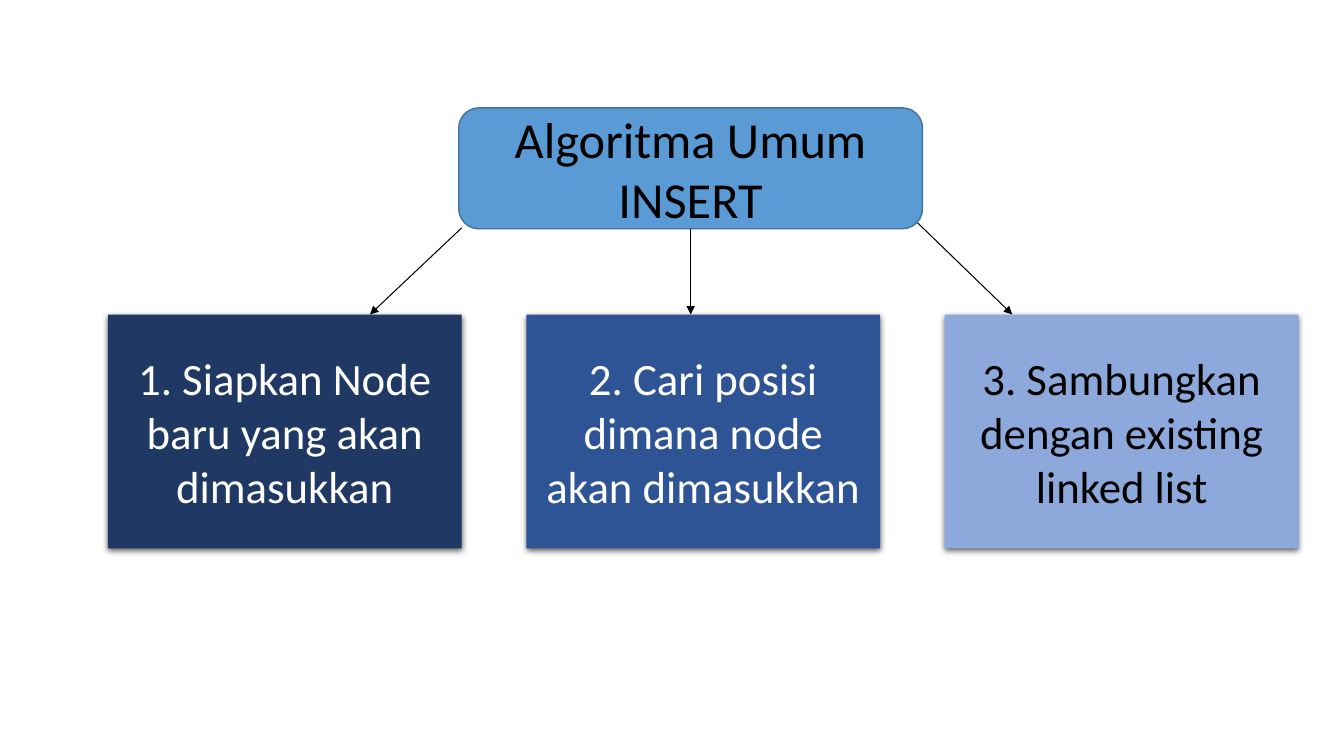
from lxml.etree import SubElement
from pptx import Presentation
from pptx.dml.color import RGBColor
from pptx.enum.shapes import MSO_CONNECTOR, MSO_SHAPE
from pptx.enum.text import MSO_ANCHOR, PP_ALIGN
from pptx.oxml.ns import qn
from pptx.util import Pt

PX = 9144
COLORS = {
    "navy": "1F3864", "blue": "2F5496", "pale": "8DA9DB",
    "sky": "5B9BD5", "edge": "42719B", "black": "000000", "white": "FFFFFF",
}
STEPS = [
    ("1. Siapkan Node baru yang akan dimasukkan", "navy", "white"),
    ("2. Cari posisi dimana node akan dimasukkan", "blue", "white"),
    ("3. Sambungkan dengan existing linked list", "pale", "black"),
]


def color(name):
    """Return the named colour."""
    return RGBColor.from_string(COLORS[name])


def add_box(slide, kind, box, text, size, fill, ink):
    """Add a filled shape with centred text."""
    shape = slide.shapes.add_shape(kind, *(n * PX for n in box))
    shape.shadow.inherit = False
    shape.fill.solid()
    shape.fill.fore_color.rgb = color(fill)
    frame = shape.text_frame
    frame.word_wrap = True
    frame.vertical_anchor = MSO_ANCHOR.MIDDLE
    paragraph = frame.paragraphs[0]
    paragraph.text = text
    paragraph.alignment = PP_ALIGN.CENTER
    paragraph.font.name = "Calibri"
    paragraph.font.size = Pt(size)
    paragraph.font.color.rgb = color(ink)
    return shape


def add_step(slide, box, text, fill, ink):
    """Add a borderless step with a soft shadow below it."""
    step = add_box(slide, MSO_SHAPE.RECTANGLE, box, text, 32, fill, ink)
    step.line.fill.background()
    effects = step.element.spPr.find(qn("a:effectLst"))
    shadow = SubElement(effects, qn("a:outerShdw"), blurRad=str(Pt(4.5)),
                        dist=str(Pt(1.5)), dir="5400000", rotWithShape="0")
    black = SubElement(shadow, qn("a:srgbClr"), val=COLORS["black"])
    SubElement(black, qn("a:alpha"), val="63000")


def add_arrow(slide, start, end):
    """Add a thin black arrow between two points."""
    arrow = slide.shapes.add_connector(
        MSO_CONNECTOR.STRAIGHT, *(n * PX for n in start + end))
    arrow.line.color.rgb = color("black")
    arrow.line.width = Pt(0.75)
    properties = arrow.element.spPr
    SubElement(properties.find(qn("a:ln")), qn("a:tailEnd"), type="triangle")
    SubElement(properties, qn("a:effectLst"))
    return arrow


def add_algorithm(slide, left, top, width, height):
    """Draw the heading, its three steps and the arrows in a box."""
    step_width, step_height = 351, 232
    pitch = (width - step_width) // (len(STEPS) - 1)
    step_top = top + height - step_height
    for i, (text, fill, ink) in enumerate(STEPS):
        add_step(slide, (left + i * pitch, step_top, step_width, step_height),
                 text, fill, ink)

    heading = add_box(slide, MSO_SHAPE.FLOWCHART_ALTERNATE_PROCESS,
                      (left + 348, top, 460, 120),
                      "Algoritma Umum INSERT", 36, "sky", "black")
    heading.line.color.rgb = color("edge")
    heading.line.width = Pt(1)

    add_arrow(slide, (left + 351, top + 119), (left + 260, step_top))
    middle = add_arrow(slide, (left + 578, top + 120), (left + 578, step_top))
    middle.begin_connect(heading, 2)
    add_arrow(slide, (left + 803, top + 114), (left + 897, step_top))


def main():
    """Build and save the slide."""
    deck = Presentation()
    deck.slide_width, deck.slide_height = 1333 * PX, 750 * PX
    slide = deck.slides.add_slide(deck.slide_layouts[6])
    add_algorithm(slide, 107, 107, 1181, 437)
    deck.save("out.pptx")


if __name__ == "__main__":
    main()
